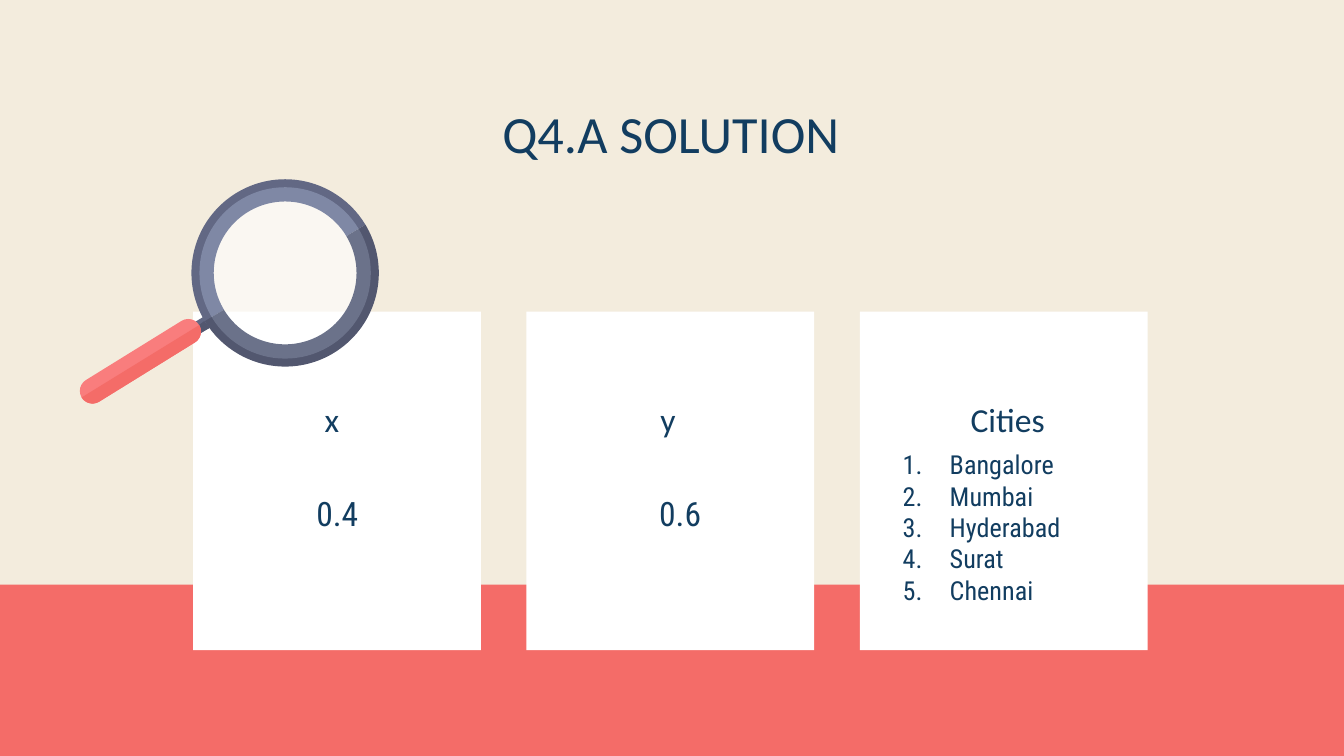
"""Build the Q4.A solution slide: three cards, a title and a magnifying glass."""
from math import cos, radians, sin

from lxml.etree import SubElement
from pptx import Presentation
from pptx.dml.color import RGBColor
from pptx.enum.shapes import MSO_SHAPE as Preset
from pptx.enum.text import MSO_ANCHOR as Anchor, MSO_AUTO_SIZE as AutoSize, PP_ALIGN as Align
from pptx.oxml.ns import qn
from pptx.util import Cm, Pt

CREAM = RGBColor(0xF3, 0xEC, 0xDD)
CORAL = RGBColor(0xF4, 0x6C, 0x68)
CORAL_LIGHT = RGBColor(0xF9, 0x7D, 0x7D)
WHITE = RGBColor(0xFF, 0xFF, 0xFF)
NAVY = RGBColor(0x12, 0x3D, 0x60)
RIM = RGBColor(0x62, 0x68, 0x84)
RIM_DARK = RGBColor(0x52, 0x57, 0x6F)
BAND = RGBColor(0x7F, 0x88, 0xA5)
BAND_DARK = RGBColor(0x6B, 0x72, 0x8A)

HEADING_FONT, BODY_FONT = "Calibri", "Roboto Condensed"
WIDTH, HEIGHT = 25.4, 14.29
FLOOR_TOP = 11.05
CARD_LEFT, CARD_TOP, CARD_WIDTH, CARD_HEIGHT, CARD_STEP = 3.65, 5.89, 5.44, 6.4, 6.3
HEADING_LEFT, HEADING_STEP = 3.73, 6.35

TITLE = "Q4.A SOLUTION"
HEADINGS = ["x ", "y ", "Cities"]
VALUES = [("0.4", 3.76), ("0.6", 10.24)]
CITIES = ["Bangalore", "Mumbai", "Hyderabad", "Surat", "Chennai"]

LENS_CENTER = (5.39, 5.16)
LENS_RADIUS = 1.62
RINGS = [(1.77, 0.16, RIM, RIM_DARK), (LENS_RADIUS, 0.27, BAND, BAND_DARK)]
LIGHT_START, DARK_START = 149, 329
HANDLE_ENDS, HANDLE_RADIUS = [(1.75, 7.39), (3.56, 6.27)], 0.24
NECK = [(3.96, 5.92), (4.09, 6.12), (3.4, 6.54), (3.27, 6.34)]
NECK_SHADE = [(3.86, 6.07), (3.96, 6.2), (3.78, 6.3), (3.73, 6.17)]


def paint(shape, color):
    shape.shadow.inherit = False
    shape.fill.solid()
    shape.fill.fore_color.rgb = color
    shape.line.fill.background()
    return shape


def add_preset(slide, preset, left, top, width, height, color):
    shape = slide.shapes.add_shape(preset, Cm(left), Cm(top), Cm(width), Cm(height))
    return paint(shape, color)


def add_outline(slide, points, color):
    scaled = [(Cm(x), Cm(y)) for x, y in points]
    builder = slide.shapes.build_freeform(*scaled[0])
    builder.add_line_segments(scaled[1:], close=True)
    return paint(builder.convert_to_shape(), color)


def add_handle(slide, sweep, color):
    (left_x, left_y), (right_x, right_y) = HANDLE_ENDS
    points = []
    for x, y, start in ((left_x, left_y, 59 + sweep), (right_x, right_y, 59)):
        for step in range(13):
            angle = radians(start - sweep * step / 12)
            points.append((x + HANDLE_RADIUS * cos(angle), y + HANDLE_RADIUS * sin(angle)))
    add_outline(slide, points, color)


def write(shape, lines, *, box, font=BODY_FONT, size=18, anchor=Anchor.TOP,
          align=Align.CENTER, numbered=False):
    shape.left, shape.top, shape.width, shape.height = map(Cm, box)
    frame = shape.text_frame
    frame.word_wrap, frame.auto_size, frame.vertical_anchor = True, AutoSize.NONE, anchor
    frame.margin_left = frame.margin_right = frame.margin_top = frame.margin_bottom = Cm(0.25)
    for index, line in enumerate(lines):
        paragraph = frame.add_paragraph() if index else frame.paragraphs[0]
        paragraph.alignment = align
        run = paragraph.add_run()
        run.text = line
        run.font.name, run.font.size, run.font.color.rgb = font, Pt(size), NAVY
        if numbered:
            properties = paragraph._p.get_or_add_pPr()
            properties.set("marL", str(Cm(1.27)))
            properties.set("indent", str(Cm(-0.89)))
            color = SubElement(properties, qn("a:buClr"))
            SubElement(color, qn("a:srgbClr")).set("val", str(NAVY))
            SubElement(properties, qn("a:buAutoNum")).set("type", "arabicPeriod")


def add_text(slide, lines, **options):
    write(slide.shapes.add_textbox(0, 0, 0, 0), lines, **options)


def add_magnifier(slide):
    x, y = LENS_CENTER
    add_outline(slide, NECK, RIM)
    add_outline(slide, NECK_SHADE, RIM_DARK)
    add_handle(slide, 180, CORAL_LIGHT)
    add_handle(slide, 90, CORAL)
    glass = add_preset(slide, Preset.OVAL, x - LENS_RADIUS, y - LENS_RADIUS,
                       2 * LENS_RADIUS, 2 * LENS_RADIUS, WHITE)
    fill_color = glass.fill._xPr.find(qn("a:solidFill"))[0]
    SubElement(fill_color, qn("a:alpha")).set("val", "63000")
    for radius, thickness, light, dark in RINGS:
        halves = ((LIGHT_START, DARK_START, light), (DARK_START, LIGHT_START, dark))
        for start, end, color in halves:
            arc = add_preset(slide, Preset.BLOCK_ARC, x - radius, y - radius,
                             2 * radius, 2 * radius, color)
            arc.adjustments[0] = start * 0.6
            arc.adjustments[1] = end * 0.6
            arc.adjustments[2] = thickness / (2 * radius)


def main():
    presentation = Presentation()
    presentation.slide_width, presentation.slide_height = Cm(WIDTH), Cm(HEIGHT)
    slide = presentation.slides.add_slide(presentation.slide_layouts[5])
    slide.background.fill.solid()
    slide.background.fill.fore_color.rgb = CREAM

    add_preset(slide, Preset.RECTANGLE, 0, FLOOR_TOP, WIDTH, HEIGHT - FLOOR_TOP, CORAL)
    write(slide.shapes.title, [TITLE], box=(4.27, 1.19, 16.81, 2.62),
          font=HEADING_FONT, size=28, anchor=Anchor.MIDDLE)
    for index, heading in enumerate(HEADINGS):
        add_preset(slide, Preset.RECTANGLE, CARD_LEFT + index * CARD_STEP, CARD_TOP,
                   CARD_WIDTH, CARD_HEIGHT, WHITE)
        add_text(slide, [heading], box=(HEADING_LEFT + index * HEADING_STEP, 7.14, 5.23, 1.42),
                 font=HEADING_FONT, anchor=Anchor.BOTTOM)
    for value, left in VALUES:
        add_text(slide, [value], box=(left, 9.07, 5.23, 1.42))
    add_text(slide, CITIES, box=(16.43, 8.23, 5.23, 3.1), size=14,
             align=Align.LEFT, numbered=True)
    add_magnifier(slide)
    presentation.save("out.pptx")


if __name__ == "__main__":
    main()
